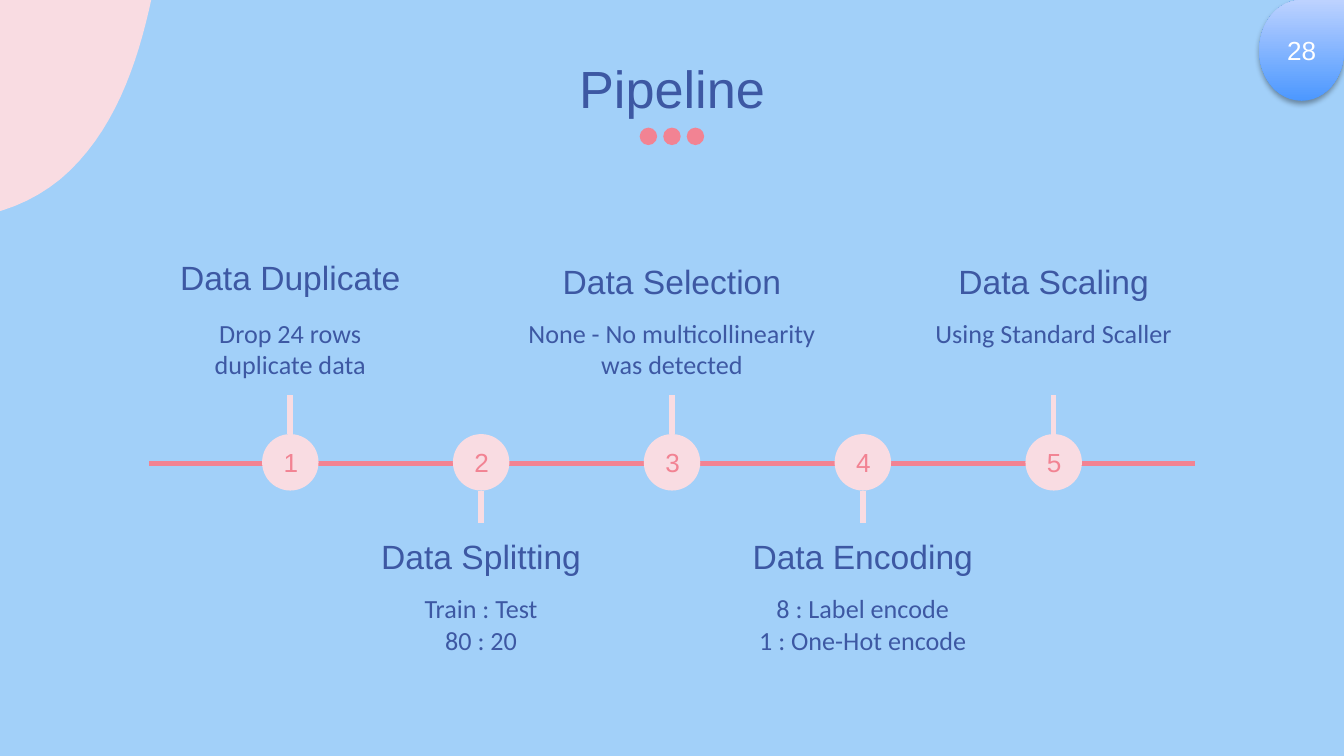
from dataclasses import dataclass

from lxml import etree
from pptx import Presentation
from pptx.dml.color import RGBColor
from pptx.enum.shapes import MSO_CONNECTOR, MSO_SHAPE
from pptx.enum.text import MSO_ANCHOR, MSO_AUTO_SIZE, PP_ALIGN
from pptx.oxml import parse_xml
from pptx.oxml.ns import nsdecls, qn
from pptx.util import Inches, Pt

OVAL, TEARDROP = MSO_SHAPE.OVAL, MSO_SHAPE.TEAR
STRAIGHT = MSO_CONNECTOR.STRAIGHT
TOP, MIDDLE = MSO_ANCHOR.TOP, MSO_ANCHOR.MIDDLE
CENTER = PP_ALIGN.CENTER
NO_FIT = MSO_AUTO_SIZE.NONE


@dataclass(frozen=True)
class Theme:
    sky: RGBColor = RGBColor(0xA2, 0xD0, 0xF9)
    navy: RGBColor = RGBColor(0x3D, 0x58, 0xA3)
    coral: RGBColor = RGBColor(0xF2, 0x83, 0x93)
    blush: RGBColor = RGBColor(0xF9, 0xDC, 0xE2)
    white: RGBColor = RGBColor(0xFF, 0xFF, 0xFF)
    badge_bottom: RGBColor = RGBColor(0x4C, 0x98, 0xFF)
    badge_top: RGBColor = RGBColor(0xBD, 0xD2, 0xFF)
    heading_font: str = "Arial"
    body_font: str = "Calibri"
    title_size: int = 28
    heading_size: int = 18
    body_size: int = 14
    line_width: int = 3


@dataclass(frozen=True)
class Stage:
    heading: str
    details: tuple[str, ...]
    detail_width: float = 2.0
    heading_lift: float = 0.0


THEME = Theme()
STAGES = (
    Stage("Data Duplicate", ("Drop 24 rows duplicate data",), heading_lift=0.03),
    Stage("Data Splitting", ("Train : Test", "80 : 20")),
    Stage("Data Selection", ("None - No multicollinearity was detected",),
          detail_width=2.42),
    Stage("Data Encoding", ("8 : Label encode", "1 : One-Hot encode")),
    Stage("Data Scaling", ("Using Standard Scaller",)),
)

# Timeline geometry, in inches, on a 16:9 slide
SLIDE_W = 10
SLIDE_H = SLIDE_W * 9 / 16
CENTER_X = SLIDE_W / 2
AXIS_Y, AXIS_HALF = 3.45, 3.89
STAGE_GAP, NODE_SIZE, NODE_Y = 1.42, 0.42, 3.44
UPPER_STEM_END, LOWER_STEM_END = 2.94, 3.89
HEADING_W, HEADING_H, DETAIL_H = 2.0, 0.42, 0.68
UPPER_HEADING_Y, LOWER_HEADING_Y = 1.84, 3.89
DOT_SIZE, DOT_GAP, DOT_Y = 0.13, 0.175, 0.95

# Corner blob: start point, then Bezier segments (control, control, end)
BLOB_START = (0.98, -1.12)
BLOB_CURVES = (
    ((0.42, -1.68), (-0.98, -0.47), (-1.17, 0.12)),
    ((-1.31, 0.55), (-1.27, 1.07), (-0.96, 1.38)),
    ((-0.94, 1.40), (-0.92, 1.42), (-0.89, 1.44)),
    ((-0.49, 1.76), (0.15, 1.63), (0.52, 1.27)),
    ((0.89, 0.91), (1.05, 0.39), (1.15, -0.12)),
    ((1.19, -0.30), (1.22, -0.48), (1.19, -0.66)),
    ((1.15, -0.87), (1.08, -1.03), (0.98, -1.12)),
)
CURVE_STEPS = 16


def place(shape, left: float, top: float, width: float, height: float) -> None:
    shape.left, shape.top = Inches(left), Inches(top)
    shape.width, shape.height = Inches(width), Inches(height)


def write(shape, lines: tuple[str, ...], font: str, size: int, color: RGBColor,
          anchor=TOP, inset: float = 0.1) -> None:
    frame = shape.text_frame
    frame.auto_size, frame.word_wrap = NO_FIT, True
    frame.vertical_anchor = anchor
    frame.margin_left = frame.margin_right = Inches(inset)
    frame.margin_top = frame.margin_bottom = Inches(inset)
    frame.text = "\n".join(lines)
    for paragraph in frame.paragraphs:
        paragraph.alignment = CENTER
        paragraph.font.name = font
        paragraph.font.size = Pt(size)
        paragraph.font.color.rgb = color


def add_label(slide, center_x: float, top: float, width: float, height: float,
              lines: tuple[str, ...], font: str, size: int) -> None:
    label = slide.shapes.add_textbox(Inches(center_x - width / 2), Inches(top),
                                     Inches(width), Inches(height))
    write(label, lines, font, size, THEME.navy)


def add_circle(slide, center_x: float, top: float, size: float, color: RGBColor):
    circle = slide.shapes.add_shape(OVAL, Inches(center_x - size / 2), Inches(top),
                                    Inches(size), Inches(size))
    circle.shadow.inherit = False
    circle.fill.solid()
    circle.fill.fore_color.rgb = color
    circle.line.fill.background()
    return circle


def add_line(slide, x1: float, y1: float, x2: float, y2: float,
             color: RGBColor) -> None:
    line = slide.shapes.add_connector(STRAIGHT, Inches(x1), Inches(y1),
                                      Inches(x2), Inches(y2))
    line.line.color.rgb = color
    line.line.width = Pt(THEME.line_width)
    etree.SubElement(line._element.spPr, qn("a:effectLst"))


def add_blob(slide) -> None:
    points, start = [], BLOB_START
    for control1, control2, end in BLOB_CURVES:
        for step in range(1, CURVE_STEPS + 1):
            t = step / CURVE_STEPS
            u = 1 - t
            points.append(tuple(
                Inches(u**3 * a + 3 * u * u * t * b + 3 * u * t * t * c + t**3 * d)
                for a, b, c, d in zip(start, control1, control2, end)))
        start = end
    builder = slide.shapes.build_freeform(*(Inches(v) for v in BLOB_START))
    builder.add_line_segments(points, close=True)
    blob = builder.convert_to_shape()
    blob.shadow.inherit = False
    blob.fill.solid()
    blob.fill.fore_color.rgb = THEME.blush
    blob.line.fill.background()


def add_page_badge(slide, number: str) -> None:
    badge = slide.shapes.add_shape(TEARDROP, Inches(9.37), Inches(0),
                                   Inches(0.63), Inches(0.75))
    badge.fill.gradient()
    badge.fill.gradient_angle = 90
    for stop, color in zip(badge.fill.gradient_stops,
                           (THEME.badge_bottom, THEME.badge_top)):
        stop.color.rgb = color
    badge.line.fill.background()
    # Soft drop shadow
    badge.shadow.inherit = False
    badge._element.spPr.find(qn("a:effectLst")).append(parse_xml(
        f'<a:outerShdw {nsdecls("a")} blurRad="{Pt(3.1)}" dist="{Pt(1.8)}" '
        'dir="5400000" rotWithShape="0"><a:srgbClr val="000000">'
        '<a:alpha val="35000"/></a:srgbClr></a:outerShdw>'))
    write(badge, (number,), THEME.heading_font, THEME.body_size, THEME.white,
          MIDDLE, inset=0.05)


def add_stage(slide, index: int, stage: Stage) -> None:
    x = CENTER_X + (index - len(STAGES) // 2) * STAGE_GAP
    above = index % 2 == 0
    heading_y = UPPER_HEADING_Y if above else LOWER_HEADING_Y
    side = -1 if above else 1
    stem_end = UPPER_STEM_END if above else LOWER_STEM_END
    add_label(slide, x, heading_y - stage.heading_lift, HEADING_W, HEADING_H,
              (stage.heading,), THEME.heading_font, THEME.heading_size)
    add_label(slide, x, heading_y + HEADING_H, stage.detail_width, DETAIL_H,
              stage.details, THEME.body_font, THEME.body_size)
    add_line(slide, x, NODE_Y + side * NODE_SIZE / 2, x, stem_end, THEME.blush)
    node = add_circle(slide, x, NODE_Y - NODE_SIZE / 2, NODE_SIZE, THEME.blush)
    write(node, (str(index + 1),), THEME.heading_font, THEME.body_size,
          THEME.coral, MIDDLE)


def main() -> None:
    deck = Presentation()
    deck.slide_width, deck.slide_height = Inches(SLIDE_W), Inches(SLIDE_H)
    slide = deck.slides.add_slide(deck.slide_layouts.get_by_name("Title Only"))
    slide.background.fill.solid()
    slide.background.fill.fore_color.rgb = THEME.sky

    # Corner decoration and title with its dots
    add_blob(slide)
    title = slide.shapes.title
    place(title, -0.22, 0.32, 10.44, 0.63)
    write(title, ("Pipeline",), THEME.heading_font, THEME.title_size, THEME.navy)
    for offset in (-1, 0, 1):
        add_circle(slide, CENTER_X + offset * DOT_GAP, DOT_Y, DOT_SIZE, THEME.coral)

    # Timeline
    add_line(slide, CENTER_X - AXIS_HALF, AXIS_Y, CENTER_X + AXIS_HALF, AXIS_Y,
             THEME.coral)
    for index, stage in enumerate(STAGES):
        add_stage(slide, index, stage)

    add_page_badge(slide, "28")
    deck.save("out.pptx")


if __name__ == "__main__":
    main()
